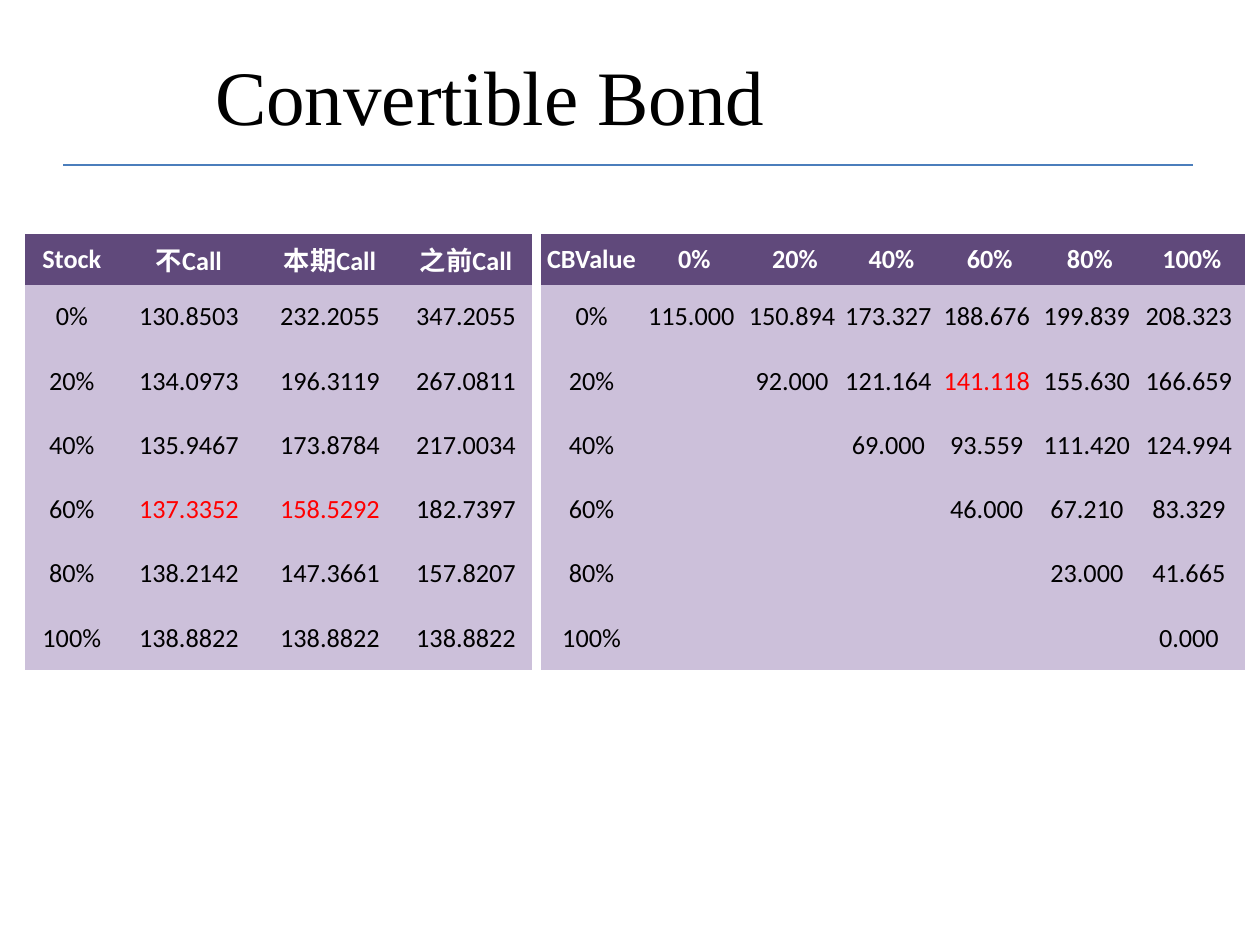
from lxml.etree import SubElement
from pptx import Presentation
from pptx.dml.color import RGBColor
from pptx.enum.shapes import MSO_CONNECTOR
from pptx.enum.text import MSO_ANCHOR, PP_ALIGN
from pptx.oxml.ns import qn
from pptx.util import Inches, Pt

BLACK, WHITE, RED = "000000", "FFFFFF", "FF0000"
HEADER_FILL, BODY_FILL, RULE_BLUE = "60497B", "CCC0DA", "4B7EBC"
PLAIN_TABLE_STYLE = "{2D5ABB26-0587-4C30-8999-92F81FD0307C}"
LEVELS = ["0%", "20%", "40%", "60%", "80%", "100%"]

CALL_HEADER = ["Stock", "不Call", "本期Call", "之前Call"]
CALL_VALUES = [
    ["130.8503", "232.2055", "347.2055"],
    ["134.0973", "196.3119", "267.0811"],
    ["135.9467", "173.8784", "217.0034"],
    ["137.3352", "158.5292", "182.7397"],
    ["138.2142", "147.3661", "157.8207"],
    ["138.8822", "138.8822", "138.8822"],
]
BOND_VALUES = [
    [115.000, 150.894, 173.327, 188.676, 199.839, 208.323],
    [92.000, 121.164, 141.118, 155.630, 166.659],
    [69.000, 93.559, 111.420, 124.994],
    [46.000, 67.210, 83.329],
    [23.000, 41.665],
    [0.000],
]


def color(hex_value):
    return RGBColor.from_string(hex_value)


def add_run(paragraph, text, size, font_name, text_color, bold=False):
    paragraph.alignment = PP_ALIGN.CENTER
    run = paragraph.add_run()
    run.text = text
    run.font.size = Pt(size)
    run.font.bold = bold
    run.font.color.rgb = color(text_color)
    run.font.name = font_name
    return run


def add_text_shadow(run):
    effects = SubElement(run.font._element, qn("a:effectLst"))
    shadow = SubElement(effects, qn("a:outerShdw"), blurRad="38100",
                        dist="38100", dir="2700000", algn="tl")
    tint = SubElement(shadow, qn("a:srgbClr"), val=BLACK)
    SubElement(tint, qn("a:alpha"), val="43000")
    run.font._element.find(qn("a:solidFill")).addnext(effects)


def set_title(slide, text):
    title = slide.shapes.title
    title.left, title.top = Inches(1.54), Inches(0.33)
    title.width, title.height = Inches(4.7), Inches(0.85)
    title.text_frame.vertical_anchor = MSO_ANCHOR.MIDDLE
    run = add_run(title.text_frame.paragraphs[0], text, 44, "Times New Roman", BLACK)
    add_text_shadow(run)


def add_rule(slide):
    rule = slide.shapes.add_connector(
        MSO_CONNECTOR.STRAIGHT, Inches(0.5), Inches(1.31), Inches(9.47), Inches(1.31))
    rule.line.color.rgb = color(RULE_BLUE)
    rule.line.width = Pt(0.75)
    SubElement(rule._element.spPr, qn("a:effectLst"))


def fill_cell(cell, text, is_header, highlighted):
    cell.margin_left = cell.margin_right = cell.margin_top = cell.margin_bottom = 0
    cell.vertical_anchor = MSO_ANCHOR.MIDDLE
    cell.fill.solid()
    cell.fill.fore_color.rgb = color(HEADER_FILL if is_header else BODY_FILL)
    if text:
        text_color = WHITE if is_header else RED if highlighted else BLACK
        add_run(cell.text_frame.paragraphs[0], text, 15, "Calibri", text_color, is_header)


def add_value_table(slide, left, widths, rows, highlights):
    heights = [0.4] + [0.51] * (len(rows) - 1)
    table = slide.shapes.add_table(
        len(rows), len(widths), Inches(left), Inches(1.86),
        Inches(sum(widths)), Inches(sum(heights))).table
    table._tbl.tblPr.find(qn("a:tableStyleId")).text = PLAIN_TABLE_STYLE
    table.horz_banding = False
    for column, width in zip(table.columns, widths):
        column.width = Inches(width)
    for row_index, (texts, height) in enumerate(zip(rows, heights)):
        table.rows[row_index].height = Inches(height)
        for column_index, text in enumerate(texts):
            fill_cell(table.cell(row_index, column_index), text,
                      row_index == 0, (row_index, column_index) in highlights)


def main():
    presentation = Presentation()
    presentation.slide_width, presentation.slide_height = Inches(10), Inches(7.5)
    slide = presentation.slides.add_slide(presentation.slide_layouts[5])
    set_title(slide, "Convertible Bond")
    add_rule(slide)

    call_rows = [CALL_HEADER] + [
        [level] + values for level, values in zip(LEVELS, CALL_VALUES)]
    add_value_table(slide, 0.2, [0.74, 1.12, 1.12, 1.04], call_rows, {(4, 1), (4, 2)})

    bond_rows = [["CBValue"] + LEVELS] + [
        [level] + [""] * (len(LEVELS) - len(values)) + [f"{value:.3f} " for value in values]
        for level, values in zip(LEVELS, BOND_VALUES)]
    add_value_table(slide, 4.29, [0.81, 0.82, 0.78, 0.75, 0.81, 0.78, 0.84],
                    bond_rows, {(2, 4)})
    presentation.save("out.pptx")


if __name__ == "__main__":
    main()
